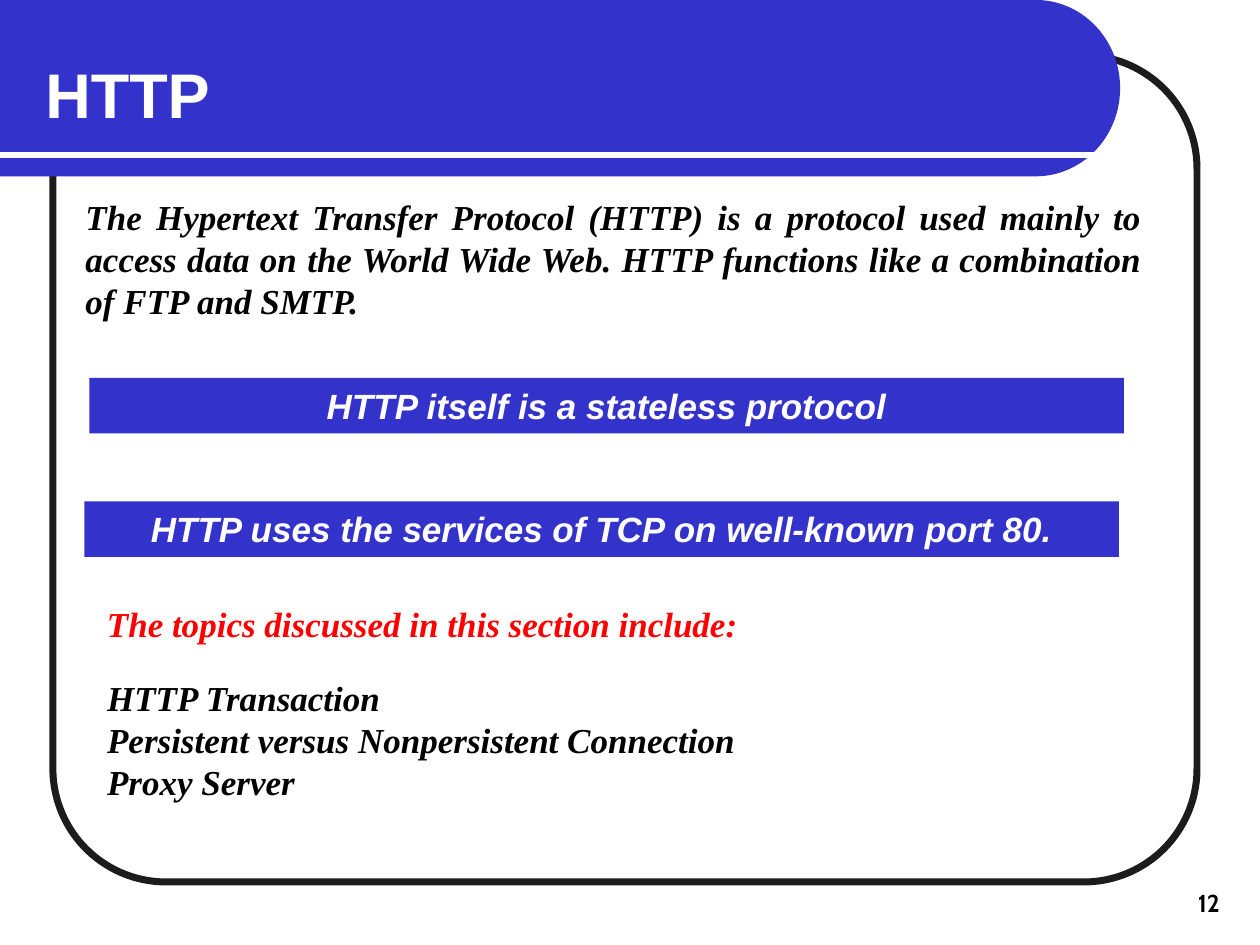
"""Build the HTTP introduction slide."""
from dataclasses import dataclass
from math import cos, pi, sin

from lxml.etree import SubElement
from pptx import Presentation
from pptx.dml.color import RGBColor
from pptx.enum.shapes import MSO_CONNECTOR as Connector, MSO_SHAPE as Preset
from pptx.enum.text import MSO_ANCHOR as Anchor, MSO_AUTO_SIZE as AutoSize, PP_ALIGN as Align
from pptx.oxml.ns import qn
from pptx.util import Inches, Pt

WIDTH, HEIGHT = Inches(10), Inches(7.5)
COLUMNS, ROWS = 100, 75
BLUE, WHITE, BLACK, RED, CHARCOAL = "3333CC", "FFFFFF", "000000", "FF0000", "1C1C1C"
SERIF, SANS = "Times New Roman", "Arial"


@dataclass(frozen=True)
class Area:
    """A rectangle in grid columns and rows."""
    column: float
    row: float
    columns: float
    rows: float

    def bounds(self) -> tuple[int, int, int, int]:
        """Return left, top, width and height as slide lengths."""
        return across(self.column), down(self.row), across(self.columns), down(self.rows)


@dataclass(frozen=True)
class TextStyle:
    """The look of a block of text."""
    font: str = SERIF
    size: int = 20
    color: str = BLACK
    italic: bool = True
    align: Align = Align.LEFT
    anchor: Anchor = Anchor.TOP


@dataclass(frozen=True)
class TextBlock:
    """Words with their place, look and optional fill."""
    text: str
    area: Area
    style: TextStyle
    fill: str | None = None


TITLE = TextBlock("HTTP", Area(2.6, 3.9, 17, 7), TextStyle(SANS, 36, WHITE, italic=False))
TOPICS = TextBlock("HTTP Transaction\nPersistent versus Nonpersistent Connection\nProxy Server",
                   Area(7.5, 53.2, 80, 11), TextStyle())
BANNER_STYLE = TextStyle(SANS, color=WHITE, align=Align.CENTER)
BLOCKS = (
    TextBlock("The Hypertext Transfer Protocol (HTTP) is a protocol used mainly to access data "
              "on the World Wide Web. HTTP functions like a combination of FTP and SMTP.",
              Area(5.8, 15, 85.8, 11), TextStyle(align=Align.JUSTIFY)),
    TextBlock("The topics discussed in this section include:",
              Area(7.5, 47.3, 85.8, 4.4), TextStyle(color=RED)),
    TextBlock("HTTP itself is a stateless protocol",
              Area(7.1, 30, 82.1, 4.4), BANNER_STYLE, BLUE),
    TextBlock("HTTP uses the services of TCP on well-known port 80.",
              Area(6.7, 39.8, 82.1, 4.4), BANNER_STYLE, BLUE),
    TextBlock("12", Area(77, 68.3, 20.8, 5),
              TextStyle("Cabin", 14, italic=False, align=Align.RIGHT, anchor=Anchor.BOTTOM)),
)


def across(columns: float) -> int:
    """Convert grid columns to a length."""
    return round(WIDTH * columns / COLUMNS)


def down(rows: float) -> int:
    """Convert grid rows to a length."""
    return round(HEIGHT * rows / ROWS)


def paint(color_format, color: str) -> None:
    """Set a colour from a hex string."""
    color_format.rgb = RGBColor.from_string(color)


def fill_shape(shape, color: str) -> None:
    """Give a shape a plain fill without outline or shadow."""
    shape.shadow.inherit = False
    shape.fill.solid()
    paint(shape.fill.fore_color, color)
    shape.line.fill.background()


def write_text(shape, block: TextBlock) -> None:
    """Place a shape and write its formatted text."""
    style, frame = block.style, shape.text_frame
    shape.left, shape.top, shape.width, shape.height = block.area.bounds()
    frame.text = block.text
    frame.auto_size = AutoSize.NONE
    frame.word_wrap = True
    frame.vertical_anchor = style.anchor
    for paragraph in frame.paragraphs:
        properties = paragraph._p.get_or_add_pPr()
        properties.set("marL", "0")
        properties.set("indent", "0")
        SubElement(properties, qn("a:buNone"))
        paragraph.alignment = style.align
        paragraph.space_before = Pt(0)
        for run in paragraph.runs:
            run.font.name, run.font.size = style.font, Pt(style.size)
            run.font.bold, run.font.italic = True, style.italic
            paint(run.font.color, style.color)


def add_block(slide, block: TextBlock) -> None:
    """Add a text box, or a filled rectangle with text."""
    if block.fill:
        shape = slide.shapes.add_shape(Preset.RECTANGLE, *block.area.bounds())
        fill_shape(shape, block.fill)
    else:
        shape = slide.shapes.add_textbox(*block.area.bounds())
    write_text(shape, block)


def add_frame(slide, area: Area) -> None:
    """Add the rounded outline around the content."""
    frame = slide.shapes.add_shape(Preset.ROUNDED_RECTANGLE, *area.bounds())
    frame.adjustments[0] = 0.137
    frame.shadow.inherit = False
    frame.fill.background()
    frame.line.width = Pt(4)
    paint(frame.line.color, CHARCOAL)


def add_header(slide, straight: float, bulge: float, rows: float, steps: int = 60) -> None:
    """Add the title band with its rounded right end."""
    radius = rows / 2
    angles = [pi * step / steps - pi / 2 for step in range(steps + 1)]
    arc = [(across(straight + bulge * cos(angle)), down(radius + radius * sin(angle)))
           for angle in angles]
    builder = slide.shapes.build_freeform(0, 0)
    builder.add_line_segments([*arc, (0, down(rows))], close=True)
    fill_shape(builder.convert_to_shape(), BLUE)


def add_rule(slide, row: float, columns: float) -> None:
    """Add the white rule below the title."""
    rule = slide.shapes.add_connector(Connector.STRAIGHT, 0, down(row), across(columns), down(row))
    rule.line.width = Pt(3)
    paint(rule.line.color, WHITE)
    SubElement(rule._element.spPr, qn("a:effectLst"))


def main() -> None:
    """Build and save the slide."""
    presentation = Presentation()
    presentation.slide_width, presentation.slide_height = WIDTH, HEIGHT
    slide = presentation.slides.add_slide(presentation.slide_layouts[1])
    add_frame(slide, Area(4.2, 4.4, 90.8, 65.6))
    add_header(slide, straight=82.2, bulge=6.7, rows=14)
    add_rule(slide, row=12.3, columns=88.3)
    for placeholder, block in zip(list(slide.placeholders), (TITLE, TOPICS)):
        write_text(placeholder, block)
        slide.shapes._spTree.append(placeholder._element)
    for block in BLOCKS:
        add_block(slide, block)
    presentation.save("out.pptx")


if __name__ == "__main__":
    main()
